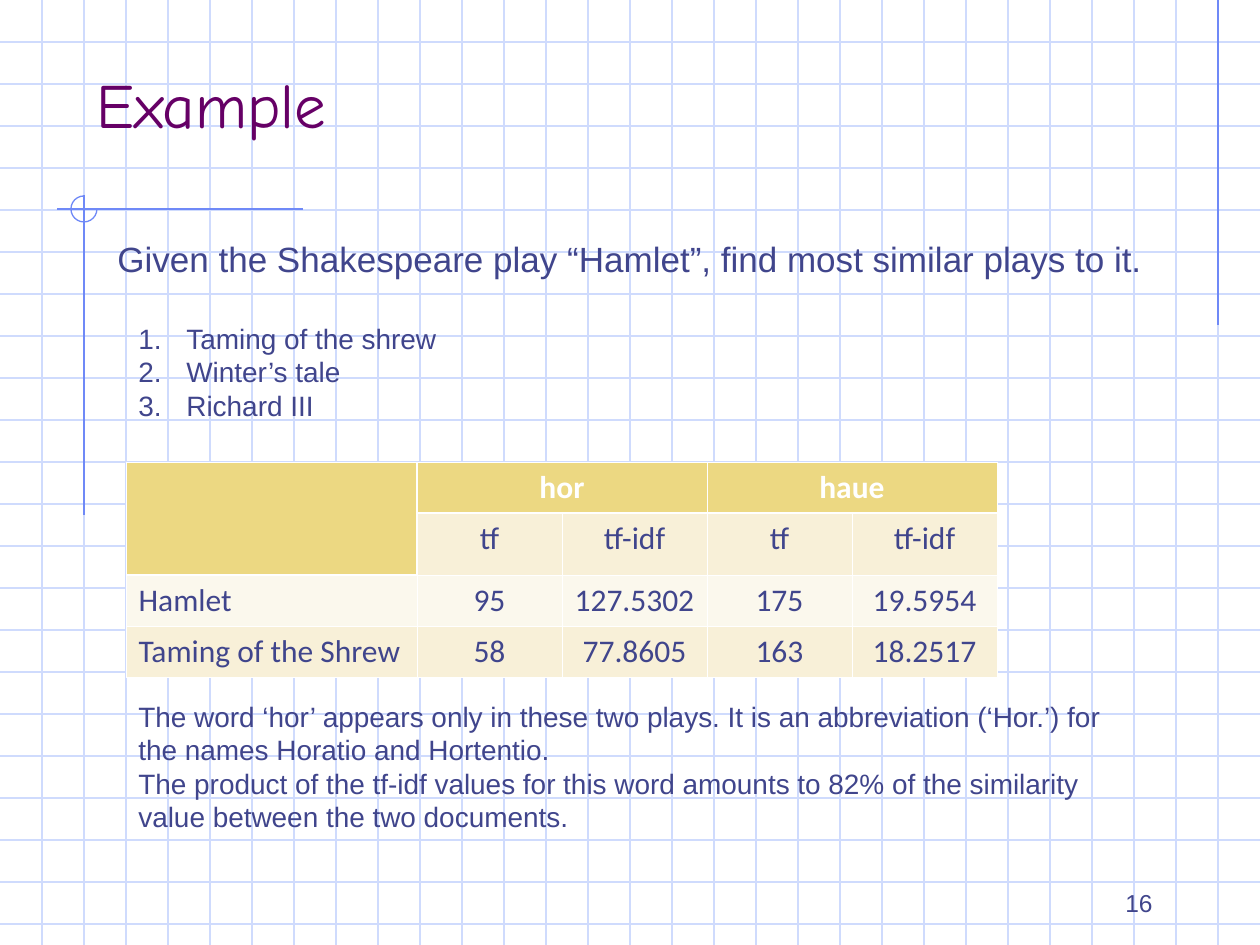
from dataclasses import dataclass

from lxml.etree import SubElement
from pptx import Presentation
from pptx.dml.color import RGBColor
from pptx.enum.shapes import MSO_CONNECTOR, MSO_SHAPE
from pptx.enum.text import MSO_ANCHOR, PP_ALIGN
from pptx.oxml import parse_xml
from pptx.oxml.ns import nsdecls, qn
from pptx.util import Emu, Pt


@dataclass(frozen=True)
class Theme:
    paper: str = "FFFFFF"
    grid: str = "CFDBFD"
    accent: str = "6F89F7"
    title: str = "660066"
    ink: str = "40458C"
    header: str = "ECD882"
    band: str = "F8F0D8"
    pale: str = "FBF8ED"
    title_font: str = "Comic Neue"
    body_font: str = "Arial"
    table_font: str = "Calibri"
    title_size: int = 36
    lead_size: int = 20
    table_size: int = 18
    body_size: int = 16
    number_size: int = 14
    rule: float = 0.75
    thin: float = 0.45
    thick: float = 1.47


THEME = Theme()
PAGE_WIDTH, PAGE_HEIGHT = 1260, 945
GRID_STEP = 42


def px(length):
    return Emu(round(length * 914400 / 126))


def color(code):
    return RGBColor.from_string(code)


def write(frame, lines, *, size, font=THEME.body_font, ink=THEME.ink,
          bold=False, align=PP_ALIGN.LEFT):
    """Fill a text frame with one paragraph for each line."""
    for index, line in enumerate(lines):
        para = frame.add_paragraph() if index else frame.paragraphs[0]
        para.alignment = align
        span = para.add_run()
        span.text = line
        span.font.name = font
        span.font.size = Pt(size)
        span.font.bold = bold
        span.font.color.rgb = color(ink)


def add_text(page, box, lines, anchor=MSO_ANCHOR.TOP, **style):
    frame = page.shapes.add_textbox(*map(px, box)).text_frame
    frame.word_wrap = True
    frame.vertical_anchor = anchor
    write(frame, lines, **style)
    return frame


def add_line(page, start, end, ink):
    line = page.shapes.add_connector(
        MSO_CONNECTOR.STRAIGHT, *map(px, (*start, *end)))
    line.line.color.rgb = color(ink)
    line.line.width = Pt(THEME.rule)
    SubElement(line._element.spPr, qn("a:effectLst"))


def add_grid(page, box):
    left, top, width, height = box
    right, bottom = left + width, top + height
    for y in range(top + GRID_STEP, bottom, GRID_STEP):
        add_line(page, (left, y), (right, y), THEME.grid)
    for x in range(left + GRID_STEP, right, GRID_STEP):
        add_line(page, (x, top), (x, bottom), THEME.grid)


def add_corner_mark(page, box):
    """Draw crossing rules with a three-quarter circle where they meet."""
    left, top, width, height = box
    radius = 13
    cross_x, cross_y = left + 27, top + radius + 1
    add_line(page, (left + width, cross_y), (left, cross_y), THEME.accent)
    add_line(page, (cross_x, top), (cross_x, top + height), THEME.accent)
    arc = page.shapes.add_shape(
        MSO_SHAPE.ARC, px(cross_x - radius), px(cross_y - radius),
        px(2 * radius), px(2 * radius))
    arc.shadow.inherit = False
    arc.adjustments[0], arc.adjustments[1] = 0, 162
    arc.fill.background()
    arc.line.color.rgb = color(THEME.accent)
    arc.line.width = Pt(THEME.rule)


def add_numbered_list(page, box, items):
    frame = add_text(page, box, items, size=THEME.body_size)
    for para in frame.paragraphs:
        props = para._p.get_or_add_pPr()
        props.set("marL", str(px(48)))
        props.set("indent", str(-px(48)))
        bullet = SubElement(props, qn("a:buClr"))
        SubElement(bullet, qn("a:srgbClr"), val=THEME.ink)
        SubElement(props, qn("a:buAutoNum"), type="arabicPeriod")


def thick_sides(row, column):
    """Name the cell sides that border the header row and corner cell."""
    sides = set()
    if row == 0 or (row, column) == (1, 0):
        sides.add("B")
    if row == 1 or (row, column) == (2, 0):
        sides.add("T")
    if row < 2 and column < 2:
        sides.add("LR"[column == 0])
    return sides


def add_borders(cell, thick):
    props = cell._tc.get_or_add_tcPr()
    for index, side in enumerate("LRTB"):
        width = Pt(THEME.thick if side in thick else THEME.thin)
        props.insert(index, parse_xml(
            f'<a:ln{side} {nsdecls("a")} w="{width}"><a:solidFill>'
            f'<a:srgbClr val="{THEME.paper}"/></a:solidFill></a:ln{side}>'))


def add_score_table(page, box):
    rows = [
        ["", "hor", "", "haue", ""],
        ["", "tf", "tf-idf", "tf", "tf-idf"],
        ["Hamlet", "95", "127.5302", "175", "19.5954"],
        ["Taming of the Shrew", "58", "77.8605", "163", "18.2517"],
    ]
    fills = [THEME.header, THEME.band, THEME.pale, THEME.band]
    table = page.shapes.add_table(len(rows), 5, *map(px, box)).table
    table.horz_banding = False
    table.first_row = False
    for column, width in zip(table.columns, [291] + [145] * 4):
        column.width = px(width)
    for row, height in zip(table.rows, [51, 62, 51, 51]):
        row.height = px(height)
    for r, values in enumerate(rows):
        for c, value in enumerate(values):
            cell = table.cell(r, c)
            corner = r < 2 and c == 0
            cell.fill.solid()
            cell.fill.fore_color.rgb = color(
                THEME.header if corner else fills[r])
            add_borders(cell, thick_sides(r, c))
            if value:
                write(cell.text_frame, [value], size=THEME.table_size,
                      font=THEME.table_font, bold=r == 0,
                      ink=THEME.paper if r == 0 else THEME.ink,
                      align=PP_ALIGN.CENTER if c else PP_ALIGN.LEFT)
    table.cell(0, 0).merge(table.cell(1, 0))
    for c in (1, 3):
        table.cell(0, c).merge(table.cell(0, c + 1))


def add_background(page, box):
    left, top, width, height = box
    add_grid(page, box)
    edge = left + width - GRID_STEP
    add_line(page, (edge, top), (edge, top + 325), THEME.accent)
    add_corner_mark(page, (left + 57, top + 195, 246, 320))


def build_example_page(page, box):
    left, top, width, height = box
    add_background(page, box)
    add_text(page, (left + 84, top + 42, 1071, 105), ["Example"],
             anchor=MSO_ANCHOR.BOTTOM, size=THEME.title_size,
             font=THEME.title_font, ink=THEME.title)
    add_text(page, (left + 903, top + 861, 262, 63), ["16"],
             anchor=MSO_ANCHOR.BOTTOM, size=THEME.number_size,
             align=PP_ALIGN.RIGHT)
    add_text(page, (left + 105, top + 231, 1081, 55),
             ["Given the Shakespeare play “Hamlet”, find most similar plays to it."],
             size=THEME.lead_size)
    add_numbered_list(page, (left + 126, top + 315, 357, 113),
                      ["Taming of the shrew", "Winter’s tale", "Richard III"])
    add_score_table(page, (left + 126, top + 462, 871, 215))
    add_text(page, (left + 126, top + 693, 1018, 147), [
        "The word ‘hor’ appears only in these two plays. It is an abbreviation "
        "(‘Hor.’) for the names Horatio and Hortentio.",
        "The product of the tf-idf values for this word amounts to 82% of the "
        "similarity value between the two documents.",
    ], size=THEME.body_size)


def main():
    deck = Presentation()
    deck.slide_width, deck.slide_height = px(PAGE_WIDTH), px(PAGE_HEIGHT)
    page = deck.slides.add_slide(deck.slide_layouts[6])
    page.background.fill.solid()
    page.background.fill.fore_color.rgb = color(THEME.paper)
    build_example_page(page, (0, 0, PAGE_WIDTH, PAGE_HEIGHT))
    deck.save("out.pptx")


if __name__ == "__main__":
    main()
